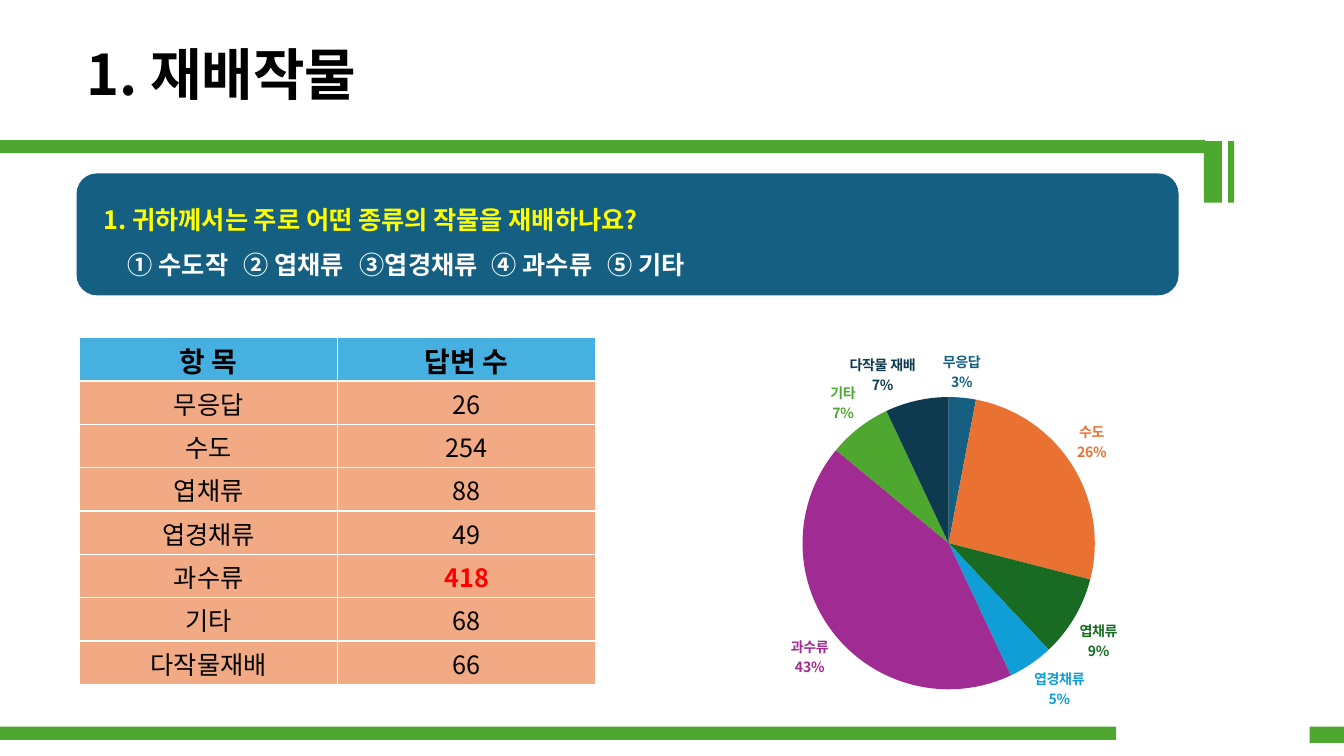
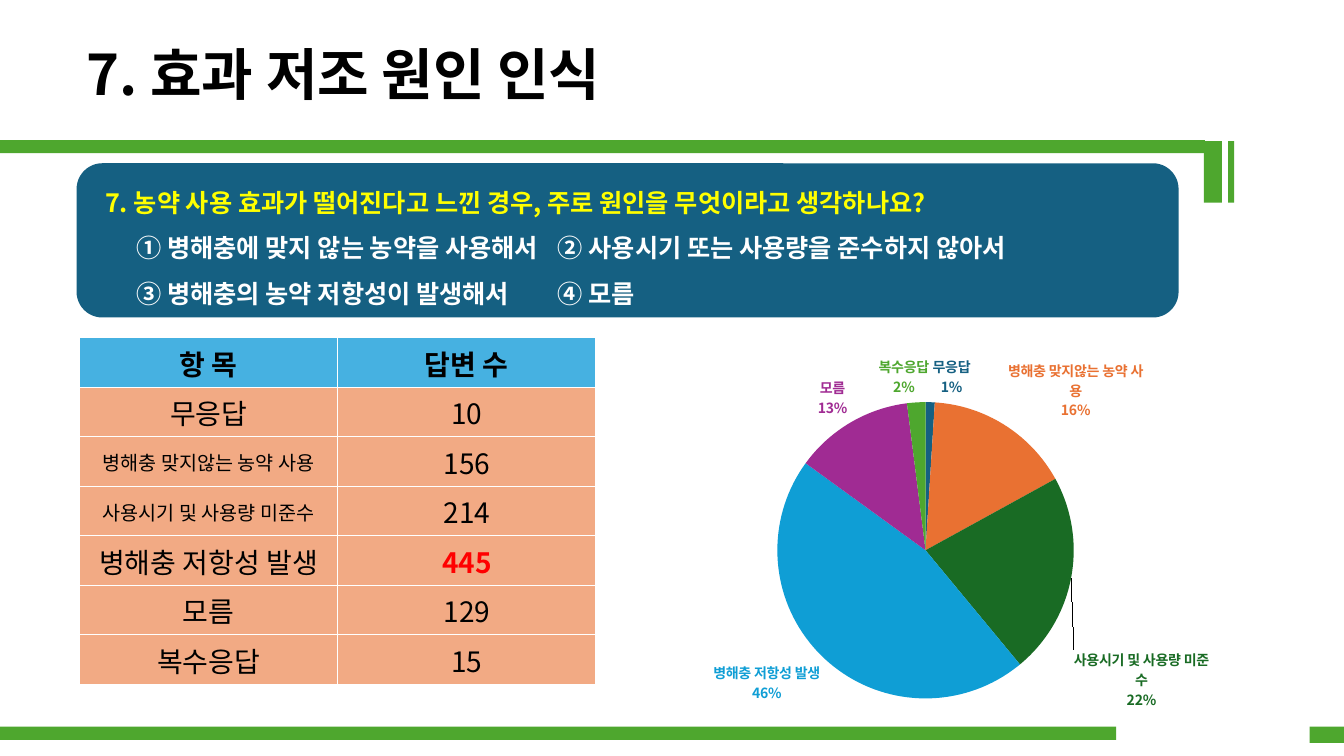
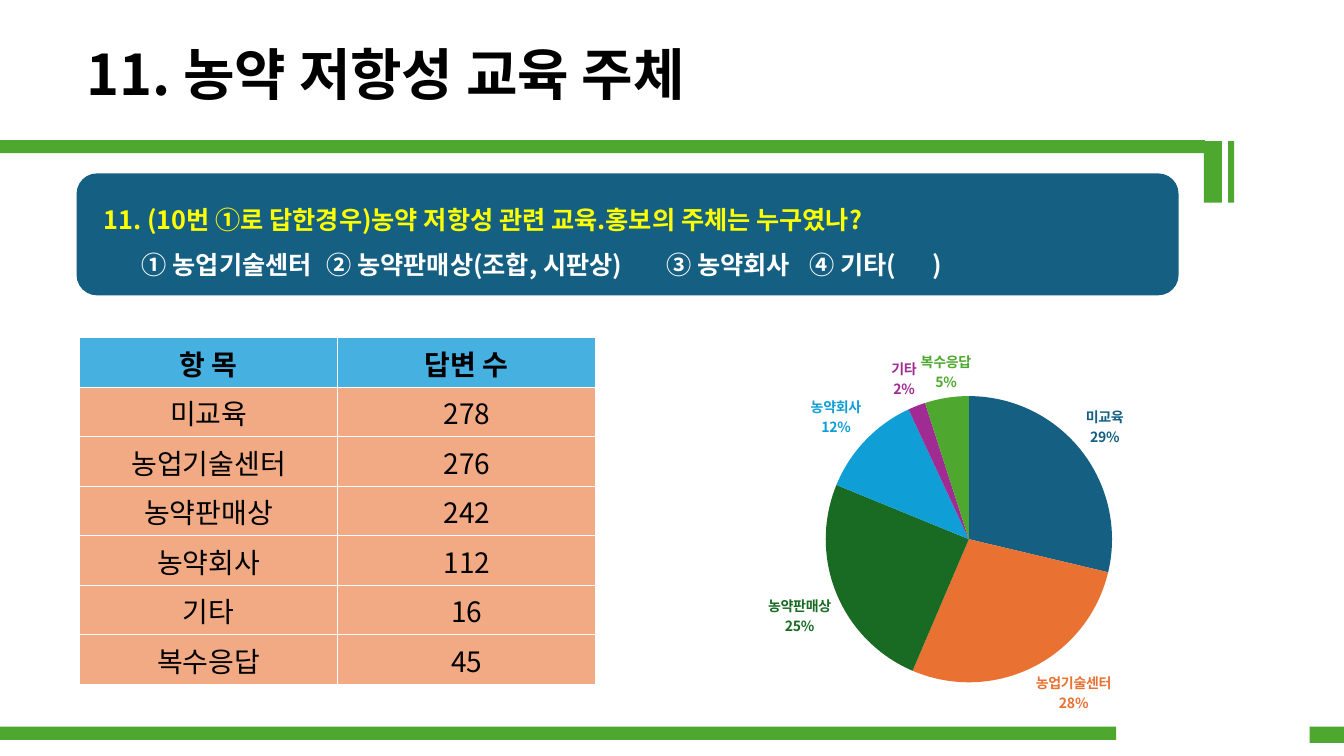
from lxml import etree
from pptx import Presentation
from pptx.chart.data import CategoryChartData
from pptx.dml.color import RGBColor
from pptx.enum.chart import XL_CHART_TYPE, XL_LABEL_POSITION
from pptx.enum.shapes import MSO_SHAPE
from pptx.enum.text import MSO_ANCHOR, MSO_AUTO_SIZE, PP_ALIGN
from pptx.oxml.ns import qn
from pptx.util import Pt

PIE = XL_CHART_TYPE.PIE
OUTSIDE = XL_LABEL_POSITION.OUTSIDE_END
RECT, ROUND_RECT = MSO_SHAPE.RECTANGLE, MSO_SHAPE.ROUNDED_RECTANGLE
MIDDLE, CENTER = MSO_ANCHOR.MIDDLE, PP_ALIGN.CENTER
FIT_SHAPE = MSO_AUTO_SIZE.SHAPE_TO_FIT_TEXT

PX = 9144  # 100 px to the inch
FONT = "Noto Sans CJK KR"
COLORS = {
    "text": "000000", "white": "FFFFFF", "question": "FFFF00", "top": "FF0000",
    "band": "4EA72E", "panel": "156082", "header": "46B1E1", "body": "F2AA84",
}
SLICES = ["156082", "E97132", "196B24", "0F9ED5", "A02B93", "4EA72E", "0D3A4E"]

BANDS = [  # left, top, width, height
    (0, 721, 1107, 13), (1299, 721, 34, 16),
    (-1, 139, 1196, 13), (1194, 140, 18, 61), (1218, 140, 6, 61),
]
TABLE = (79, 335, 512, 344)
CHART = (591, 335, 709, 394)
HEADER = ("항 목", "답변 수")
QUESTION_INDENT = 11
LONG_LABEL = 12  # characters; longer table labels are set smaller

# panel: top, height; tabs: starts of the options; pie: centre x, centre y, radius
# rows: label, answers, share in percent; moved: slice index -> label shift in px
SLIDES = [
    {
        "title": "1. 재배작물", "title_width": 312, "panel": (172, 121),
        "question": "1. 귀하께서는 주로 어떤 종류의 작물을 재배하나요?",
        "options": [["① 수도작", "② 엽채류", "③엽경채류", "④ 과수류", "⑤ 기타"]],
        "tabs": [35, 150, 265, 396, 511],
        "rows": [("무응답", 26, 3), ("수도", 254, 26), ("엽채류", 88, 9),
                 ("엽경채류", 49, 5), ("과수류", 418, 43), ("기타", 68, 7),
                 ("다작물재배", 66, 7)],
        "chart_names": {"다작물재배": "다작물 재배"},
        "size": 18, "top": "과수류", "pie": (941, 539, 145),
        "moved": {0: (-20, 0)},
    },
    {
        "title": "7. 효과 저조 원인 인식", "title_width": 595, "panel": (162, 153),
        "question": "7. 농약 사용 효과가 떨어진다고 느낀 경우, 주로 원인을 무엇이라고 생각하나요?",
        "options": [["① 병해충에 맞지 않는 농약을 사용해서",
                     "② 사용시기 또는 사용량을 준수하지 않아서"],
                    ["③ 병해충의 농약 저항성이 발생해서", "④ 모름"]],
        "tabs": [42, 460],
        "rows": [("무응답", 10, 1), ("병해충 맞지않는 농약 사용", 156, 16),
                 ("사용시기 및 사용량 미준수", 214, 22),
                 ("병해충 저항성 발생", 445, 46), ("모름", 129, 13),
                 ("복수응답", 15, 2)],
        "chart_names": {},
        "size": 20, "top": "병해충 저항성 발생", "pie": (918, 546, 147),
        "moved": {0: (21, 0), 2: (-3, 70), 5: (-12, 0)},
    },
    {
        "title": "11. 농약 저항성 교육 주체", "title_width": 684, "panel": (172, 121),
        "question": "11. (10번 ①로 답한경우)농약 저항성 관련 교육.홍보의 주체는 누구였나?",
        "options": [["① 농업기술센터", "② 농약판매상(조합, 시판상)",
                     "③ 농약회사", "④ 기타(", ")"]],
        "tabs": [49, 232, 569, 711, 833],
        "rows": [("미교육", 278, 29), ("농업기술센터", 276, 28),
                 ("농약판매상", 242, 25), ("농약회사", 112, 12),
                 ("기타", 16, 2), ("복수응답", 45, 5)],
        "chart_names": {},
        "size": 20, "top": None, "pie": (961, 535, 142),
        "moved": {4: (2, -2), 5: (25, 0)},
    },
]


def emu(*lengths):
    return [round(v * PX) for v in lengths]


def sub(parent, tag, **attrs):
    return etree.SubElement(parent, qn(tag), {k: str(v) for k, v in attrs.items()})


def style(font, size, color, bold=False):
    """Set a font for both Latin and Korean text."""
    font.size, font.bold, font.name = Pt(size), bold, FONT
    font.color.rgb = RGBColor.from_string(color)
    sub(font._rPr, "a:ea", typeface=FONT)


def add_run(p, text, size, color, bold=False):
    r = p.add_run()
    r.text = text
    style(r.font, size, color, bold)


def add_block(s, kind, box, color):
    sp = s.shapes.add_shape(kind, *emu(*box))
    sp.shadow.inherit = False
    sp.fill.solid()
    sp.fill.fore_color.rgb = RGBColor.from_string(color)
    sp.line.fill.background()
    return sp


def add_title(s, text, width):
    tf = s.shapes.add_textbox(*emu(76, 34, width, 77)).text_frame
    tf.word_wrap, tf.auto_size = False, FIT_SHAPE
    add_run(tf.paragraphs[0], text, 40, COLORS["text"], True)


def add_panel(s, d):
    """Add the survey question and its options, which start at tab stops."""
    top, height = d["panel"]
    tf = add_block(s, ROUND_RECT, (76, top, 1093, height), COLORS["panel"]).text_frame
    tf.word_wrap, tf.vertical_anchor = True, MIDDLE
    p = tf.paragraphs[0]
    p._p.get_or_add_pPr().set("marL", str(QUESTION_INDENT * PX))
    add_run(p, d["question"], 18, COLORS["question"], True)
    for options in d["options"]:
        p = tf.add_paragraph()
        stops = sub(p._p.get_or_add_pPr(), "a:tabLst")
        for x in d["tabs"]:
            sub(stops, "a:tab", pos=x * PX, algn="l")
        add_run(p, "".join("\t" + o for o in options), 18, COLORS["white"], True)
    for p in tf.paragraphs:
        p.line_spacing, p.alignment = 1.5, PP_ALIGN.LEFT


def fill_cell(cell, text, fill, size, color, bold):
    tc_pr = cell._tc.get_or_add_tcPr()
    for side in "LRTB":
        line = sub(tc_pr, f"a:ln{side}", w=Pt(1))
        sub(sub(line, "a:solidFill"), "a:srgbClr", val=COLORS["white"])
    cell.fill.solid()
    cell.fill.fore_color.rgb = RGBColor.from_string(fill)
    cell.margin_left = cell.margin_right = cell.margin_top = PX
    cell.margin_bottom = 0
    cell.vertical_anchor = MIDDLE
    p = cell.text_frame.paragraphs[0]
    p.alignment = CENTER
    add_run(p, text, size, color, bold)


def add_answers(s, d):
    count = len(d["rows"]) + 1
    table = s.shapes.add_table(count, 2, *emu(*TABLE)).table
    table.first_row = table.horz_banding = False
    for row in table.rows:
        row.height = round(TABLE[3] * PX / count)
    for col, text in enumerate(HEADER):
        fill_cell(table.cell(0, col), text, COLORS["header"], 20, COLORS["text"], True)
    for i, (label, answers, _) in enumerate(d["rows"], 1):
        is_top = label == d["top"]
        label_size = 14 if len(label) > LONG_LABEL else d["size"]
        fill_cell(table.cell(i, 0), label, COLORS["body"], label_size,
                  COLORS["text"], False)
        fill_cell(table.cell(i, 1), str(answers), COLORS["body"], d["size"],
                  COLORS["top" if is_top else "text"], is_top)


def make_layout(**values):
    layout = etree.Element(qn("c:layout"))
    manual = sub(layout, "c:manualLayout")
    for tag, value in values.items():
        sub(manual, f"c:{tag}", val=value)
    return layout


def place_pie(chart, cx, cy, radius):
    left, top, width, height = CHART
    area = chart._chartSpace.find(".//" + qn("c:plotArea"))
    for old in area.findall(qn("c:layout")):
        area.remove(old)
    area.insert(0, make_layout(
        layoutTarget="inner", xMode="edge", yMode="edge",
        x=round((cx - radius - left) / width, 4),
        y=round((cy - radius - top) / height, 4),
        w=round(2 * radius / width, 4), h=round(2 * radius / height, 4)))


def add_pie(s, d):
    data = CategoryChartData()
    data.categories = [d["chart_names"].get(r[0], r[0]) for r in d["rows"]]
    data.add_series("Series 1", [r[2] for r in d["rows"]])
    chart = s.shapes.add_chart(PIE, *emu(*CHART), data).chart
    chart.has_title = chart.has_legend = False
    style(chart.font, 10, COLORS["text"])
    plot = chart.plots[0]
    plot.vary_by_categories = True
    series = plot.series[0]
    labels = series.data_labels
    labels.show_value = False
    labels.show_category_name = labels.show_percentage = True
    labels.position = OUTSIDE
    for i, color in enumerate(SLICES[:len(d["rows"])]):
        point = series.points[i]
        point.format.fill.solid()
        point.format.fill.fore_color.rgb = RGBColor.from_string(color)
        point.format.line.fill.background()
        style(point.data_label.font, 10, color, True)
        point.data_label.position = OUTSIDE
    shown = {"c:showVal": "0", "c:showCatName": "1", "c:showPercent": "1"}
    for i, label in enumerate(series._element.iter(qn("c:dLbl"))):
        for tag, value in shown.items():
            label.find(qn(tag)).set("val", value)
        sub(label, "c:separator").text = "\n"
        if i in d["moved"]:
            dx, dy = d["moved"][i]
            label.insert(1, make_layout(x=round(dx / CHART[2], 4),
                                        y=round(dy / CHART[3], 4)))
    place_pie(chart, *d["pie"])


def main():
    prs = Presentation()
    prs.slide_width, prs.slide_height = emu(1333, 750)
    for d in SLIDES:
        s = prs.slides.add_slide(prs.slide_layouts[6])
        add_title(s, d["title"], d["title_width"])
        add_panel(s, d)
        add_answers(s, d)
        add_pie(s, d)
        for box in BANDS:
            add_block(s, RECT, box, COLORS["band"])
    prs.save("out.pptx")


if __name__ == "__main__":
    main()
